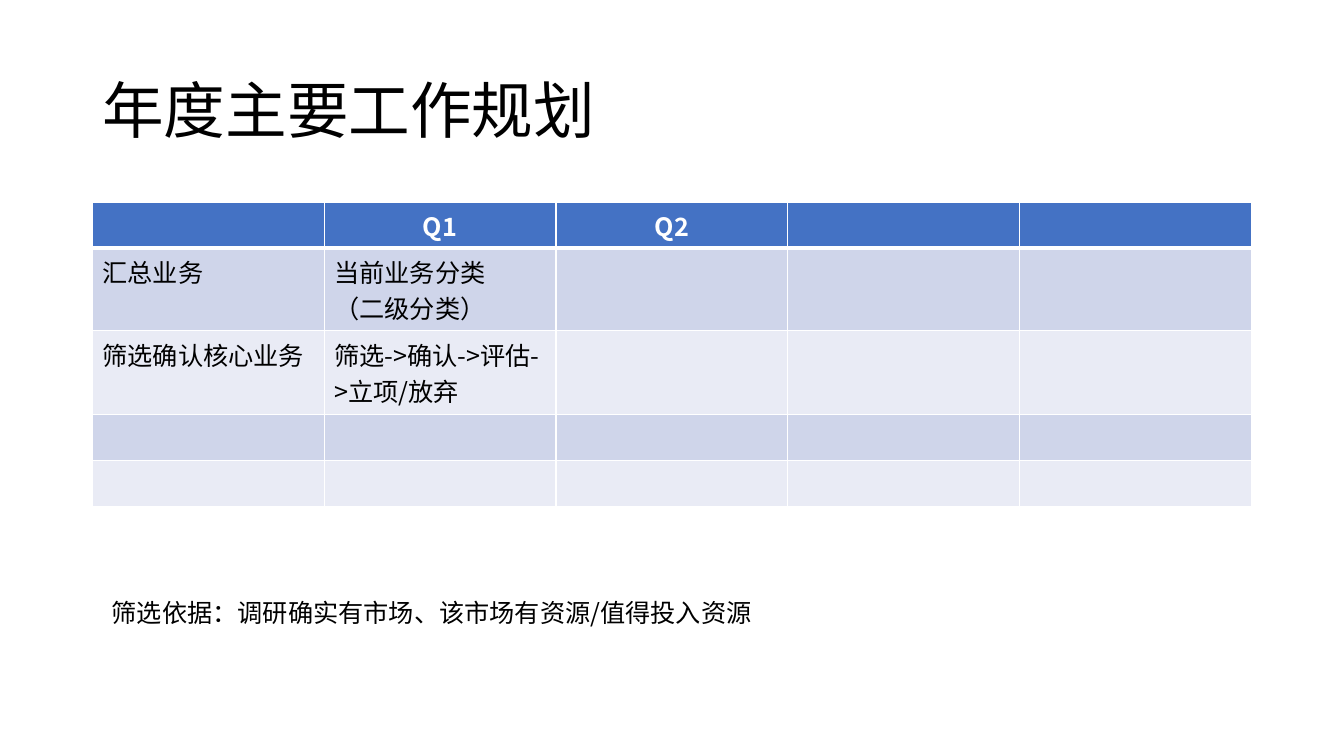
"""Build the annual work plan slide with its quarterly table and a note."""
from lxml import etree
from pptx import Presentation
from pptx.dml.color import RGBColor
from pptx.enum.text import MSO_ANCHOR, PP_ALIGN
from pptx.oxml.ns import qn
from pptx.util import Pt

LEFT, CENTER = PP_ALIGN.LEFT, PP_ALIGN.CENTER
TOP, MIDDLE = MSO_ANCHOR.TOP, MSO_ANCHOR.MIDDLE
FONT = "Noto Sans CJK SC"
COLORS = {
    "text": "000000",
    "white": "FFFFFF",
    "header": "4472C4",
    "odd": "CFD5EA",
    "even": "E9EBF5",
}


def write(frame, text, size=18, color="text", bold=False, align=LEFT, spacing=1.0):
    """Fill a text frame, one paragraph for each line of text."""
    for index, line in enumerate(text.split("\n")):
        para = frame.paragraphs[0] if index == 0 else frame.add_paragraph()
        para.alignment = align
        para.line_spacing = spacing
        span = para.add_run()
        span.text = line
        span.font.size = Pt(size)
        span.font.bold = bold
        span.font.name = FONT
        span.font.color.rgb = RGBColor.from_string(COLORS[color])
        east_asian = etree.SubElement(span.font._element, qn("a:ea"))
        east_asian.set("typeface", FONT)


def add_border(cell, side, width):
    """Draw one white edge of a table cell."""
    line = etree.SubElement(cell._tc.get_or_add_tcPr(), qn(f"a:ln{side}"))
    line.set("w", str(Pt(width)))
    fill = etree.SubElement(line, qn("a:solidFill"))
    etree.SubElement(fill, qn("a:srgbClr")).set("val", COLORS["white"])


deck = Presentation()
deck.slide_width, deck.slide_height = Pt(960), Pt(540)
page = deck.slides.add_slide(deck.slide_layouts[6])

title = page.shapes.add_textbox(Pt(66), Pt(28.75), Pt(828), Pt(104.38)).text_frame
title.word_wrap = True
title.vertical_anchor = MIDDLE
write(title, "年度主要工作规划", size=44, spacing=0.9)

plan = [
    ["", "Q1", "Q2", "", ""],
    ["汇总业务", "当前业务分类\n（二级分类）", "", "", ""],
    ["筛选确认核心业务", "筛选->确认->评估->立项/放弃", "", "", ""],
    ["", "", "", "", ""],
    ["", "", "", "", ""],
]
row_heights = [33, 59, 59.5, 33, 33]
table = page.shapes.add_table(
    len(plan), len(plan[0]), Pt(66), Pt(144.3), Pt(828), Pt(sum(row_heights))
).table
for column in table.columns:
    column.width = Pt(828 / len(plan[0]))

for row, labels in enumerate(plan):
    table.rows[row].height = Pt(row_heights[row])
    is_header = row == 0
    band = "header" if is_header else "odd" if row % 2 else "even"
    for column, label in enumerate(labels):
        cell = table.cell(row, column)
        for side in "LRTB":
            thick = (is_header and side == "B") or (row == 1 and side == "T")
            add_border(cell, side, 3 if thick else 1)
        cell.fill.solid()
        cell.fill.fore_color.rgb = RGBColor.from_string(COLORS[band])
        cell.vertical_anchor = TOP
        if label:
            write(
                cell.text_frame,
                label,
                color="white" if is_header else "text",
                bold=is_header,
                align=CENTER if is_header else LEFT,
            )

note = page.shapes.add_textbox(Pt(72.7), Pt(423.4), Pt(494), Pt(29)).text_frame
note.word_wrap = False
write(note, "筛选依据：调研确实有市场、该市场有资源/值得投入资源")

deck.save("out.pptx")
